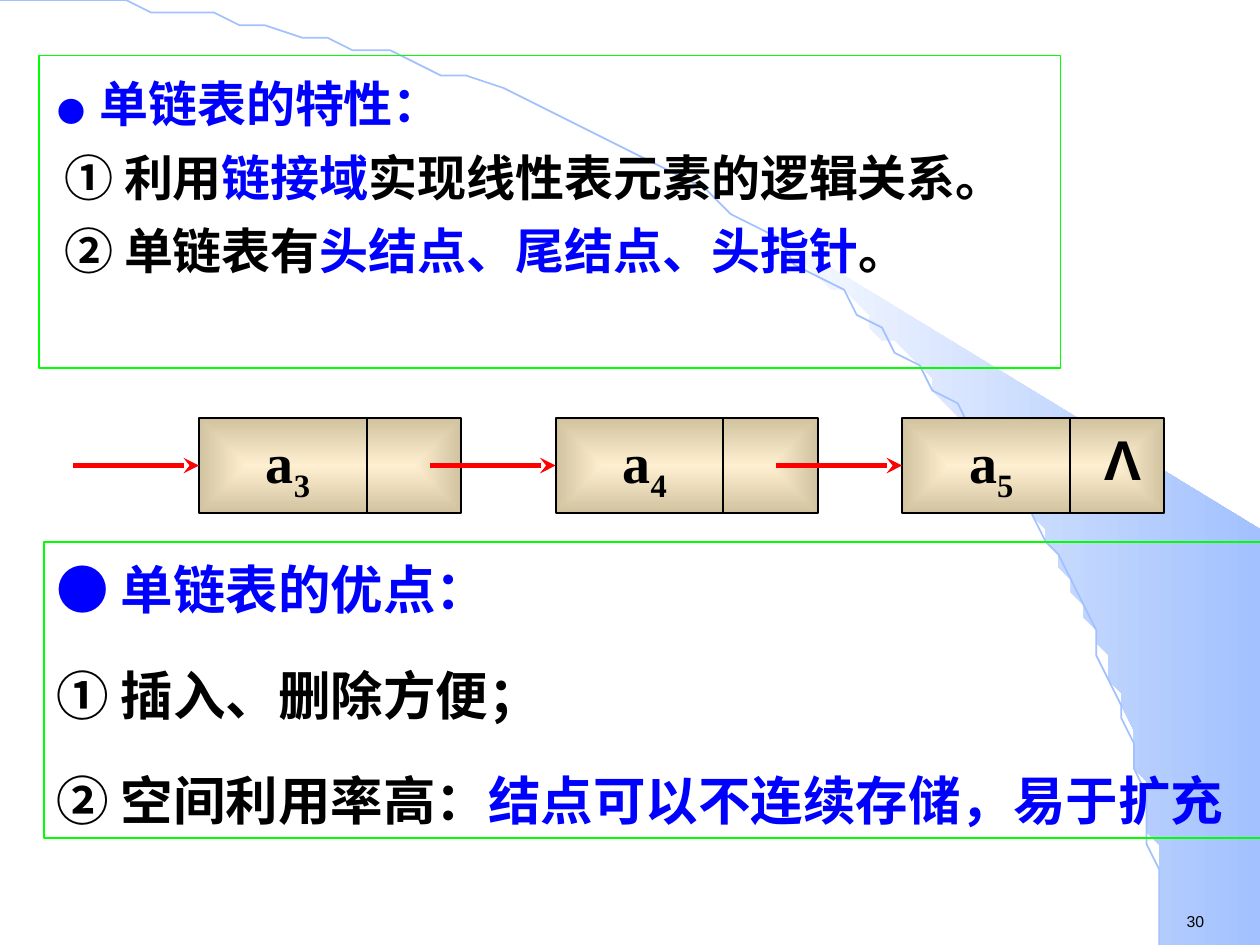
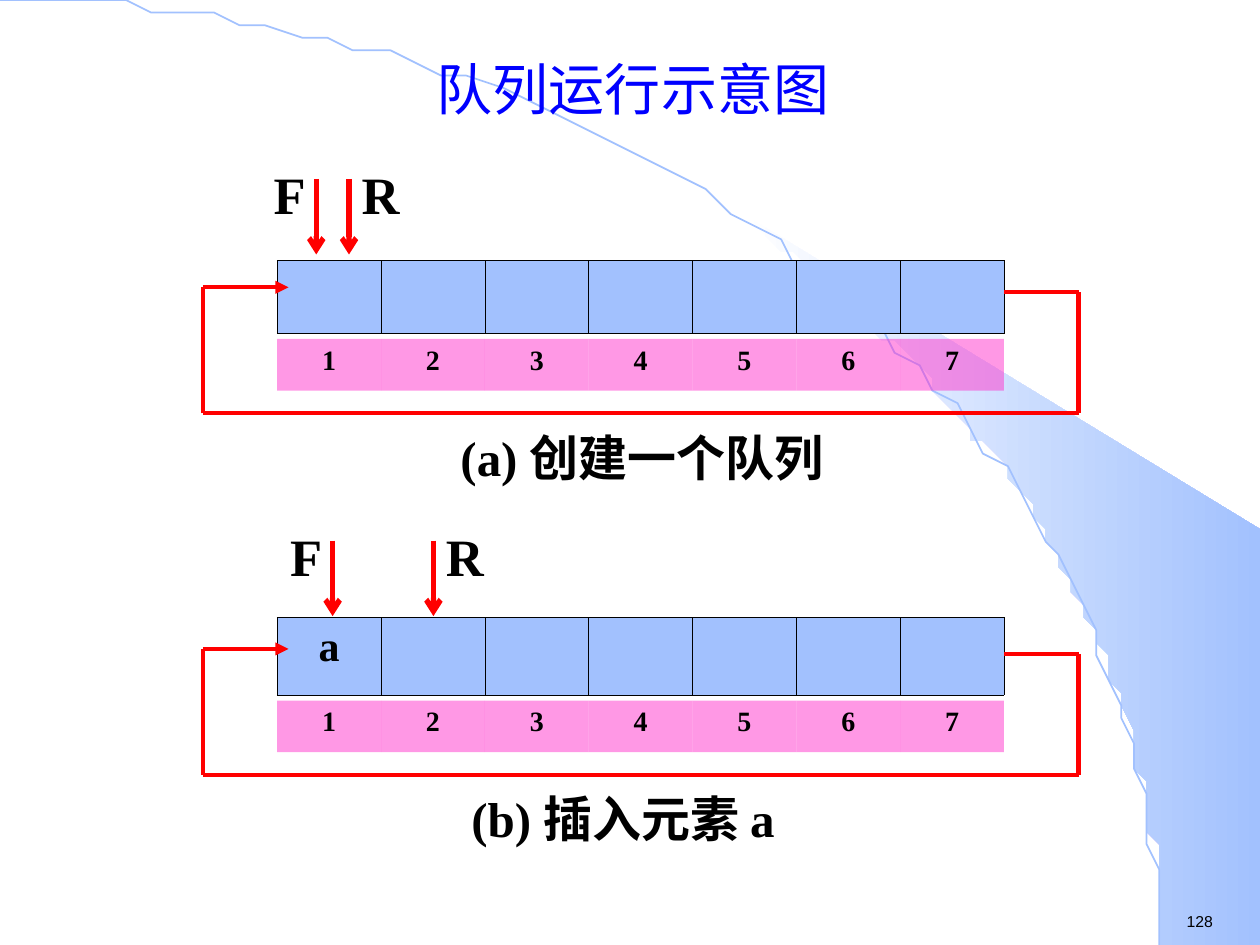
from math import asin, cos, pi, sin

from lxml import etree
from pptx import Presentation
from pptx.dml.color import RGBColor
from pptx.enum.shapes import MSO_CONNECTOR, MSO_SHAPE
from pptx.enum.text import PP_ALIGN
from pptx.oxml.ns import qn
from pptx.util import Inches, Pt

LINE = MSO_CONNECTOR.STRAIGHT
RECT = MSO_SHAPE.RECTANGLE
LEFT, MID = PP_ALIGN.LEFT, PP_ALIGN.CENTER

INK = {
    "black": "000000", "blue": "0000FF", "red": "FF0000", "green": "00FF00",
    "sky": "A2C1FE", "pink": "FF33CC", "white": "FFFFFF",
    "cream": "FFEFD1", "tan": "D1C39F",
}
ROMAN, SANS, HAN = "Times New Roman", "Arial", "Noto Sans CJK SC"

# The slide is a grid of 100 columns by 75 rows
COLS, ROWS = 100, 75
UNIT = Inches(0.1)


def grid(*sizes):
    return [round(size * UNIT) for size in sizes]


def rgb(name):
    return RGBColor.from_string(INK[name])


def add(parent, tag, **attrs):
    return etree.SubElement(parent, qn(tag), attrs)


# Text

def write(frame, paras, size, font=ROMAN, bold=True, align=LEFT, pad=(1, 0.5),
          gap=None, before=0):
    """Each paragraph is a list of (text, colour, run options)."""
    frame.word_wrap = True
    frame.margin_left = frame.margin_right = grid(pad[0])[0]
    frame.margin_top = frame.margin_bottom = grid(pad[1])[0]
    for i, runs in enumerate(paras):
        para = frame.add_paragraph() if i else frame.paragraphs[0]
        para.alignment = align
        if gap:
            para.line_spacing = gap
        if i and before:
            para.space_before = Pt(before)
        for text, ink, opts in runs:
            run = para.add_run()
            run.text = text
            run.font.size = Pt(opts.get("size", size))
            run.font.bold = bold
            run.font.color.rgb = rgb(ink)
            run.font.name = opts.get("font", font)
            props = run._r.get_or_add_rPr()
            add(props, "a:ea", typeface=HAN)
            if "base" in opts:
                props.set("baseline", str(opts["base"] * 1000))


def label(slide, box, runs, size, **style):
    shape = slide.shapes.add_textbox(*grid(*box))
    write(shape.text_frame, [runs], size, **style)


def hang(para, left, back):
    props = para._p.get_or_add_pPr()
    left, back = grid(left, back)
    props.set("marL", str(left))
    props.set("indent", str(-back))


# Shapes and lines

def frame(slide, box, ink, width):
    shape = slide.shapes.add_shape(RECT, *grid(*box))
    shape.shadow.inherit = False
    shape.fill.background()
    shape.line.color.rgb = rgb(ink)
    shape.line.width = Pt(width)
    return shape


def blend(shape, first, last):
    shape.fill.gradient()
    for stop, name in zip(shape.fill.gradient_stops, (first, last)):
        stop.color.rgb = rgb(name)


def stroke(slide, start, end, ink="red", width=3, head=None):
    line = slide.shapes.add_connector(LINE, *grid(*start, *end))
    line.line.color.rgb = rgb(ink)
    line.line.width = Pt(width)
    add(line._element.spPr, "a:effectLst")
    if head:
        add(line.line._get_or_add_ln(), "a:tailEnd", type=head)
    return line


def outline(slide, points, close):
    pen = slide.shapes.build_freeform(*points[0], scale=UNIT)
    pen.add_line_segments(points[1:], close=close)
    shape = pen.convert_to_shape()
    shape.shadow.inherit = False
    return shape


# Backdrop and page number

def arc(wide, high, start):
    steps = 60
    turns = [start + (pi / 2 - start) * i / steps for i in range(steps + 1)]
    return [(wide * sin(t), high * (1 - cos(t))) for t in turns]


def base(deck, page):
    slide = deck.slides.add_slide(deck.slide_layouts[6])
    slide.background.fill.solid()
    slide.background.fill.fore_color.rgb = rgb("white")
    wide, high, tip = 92, 74.9, 58.9
    edge = arc(wide, high, asin(tip / wide))
    wedge = outline(slide, edge + [(99.9, high), (99.9, 42.3)], True)
    blend(wedge, "white", "sky")
    wedge.fill.gradient_angle = 0
    wedge.line.fill.background()
    curve = outline(slide, arc(wide, high, 0), False)
    curve.fill.background()
    curve.line.color.rgb = rgb("sky")
    curve.line.width = Pt(1)
    label(slide, (93.2, 71.9, 6.8, 2.5), [(page, "black", {})], 9,
          font=SANS, bold=False)
    return slide


# Linked list slide

def traits(slide, box):
    text = frame(slide, box, "green", 0.75).text_frame
    write(text, [
        [("●\t", "blue", {"size": 16}), ("单链表的特性：", "blue", {})],
        [("① 利用", "black", {}), ("链接域", "blue", {}),
         ("实现线性表元素的逻辑关系。", "black", {})],
        [("② 单链表有", "black", {}),
         ("头结点、尾结点、头指针", "blue", {}), ("。", "black", {})],
    ], 28, gap=1.2, before=1.8)
    for para, (left, back) in zip(text.paragraphs,
                                  [(3.8, 3.3), (4.8, 3.8), (4.8, 3.8)]):
        hang(para, left, back)
    text.vertical_anchor = 1


def node(slide, box, index):
    x, y, w, h = box
    split = x + 0.64 * w
    shape = frame(slide, box, "black", 1)
    blend(shape, "cream", "tan")
    fill = shape._element.spPr.find(qn("a:gradFill"))
    fill.remove(fill.find(qn("a:lin")))
    way = add(fill, "a:path", path="rect")
    add(way, "a:fillToRect", l="50000", t="50000", r="50000", b="50000")
    stroke(slide, (split, y), (split, y + h), "black", 1)
    label(slide, (split - 12.5, y + 0.8, 12.5, 5.9),
          [("a", "black", {}), (index, "black", {"base": -25})], 32,
          align=MID, gap=0.8)
    return shape


def chain(slide, box):
    x, y, w, h = box
    lefts = [x, x + 28.3, x + 55.8]
    nodes = [node(slide, (left, y, 20.8, h), index)
             for left, index in zip(lefts, "345")]
    label(slide, (x + w - 8.3, y, 10, 6.4), [("Λ", "black", {})], 32,
          font=SANS, align=MID)
    for left, shape in zip(lefts, nodes):
        arrow = stroke(slide, (left - 10, y + h / 2), (left, y + h / 2),
                       head="stealth")
        arrow.end_connect(shape, 1)


def merits(slide, box):
    text = frame(slide, box, "green", 1).text_frame
    write(text, [
        [("● 单链表的优点：", "blue", {})],
        [("① 插入、删除方便；", "black", {})],
        [("② 空间利用率高：", "black", {}),
         ("结点可以不连续存储，易于扩充", "blue", {})],
    ], 30, font=HAN, gap=1.15, before=18.7)
    text.vertical_anchor = 1


# Queue slide

def strip(slide, box, words, size, ink, border=None, alpha=None):
    shape = slide.shapes.add_table(1, len(words), *grid(*box))
    table = shape.table
    table.first_row = table.horz_banding = False
    for cell, word in zip(table.rows[0].cells, words):
        if word:
            write(cell.text_frame, [[(word, "black", {})]], size, align=MID)
        props = cell._tc.get_or_add_tcPr()
        for side in ("a:lnL", "a:lnR", "a:lnT", "a:lnB"):
            edge = add(props, side, w=str(Pt(0.45)))
            if border:
                add(add(edge, "a:solidFill"), "a:srgbClr", val=INK[border])
            else:
                add(edge, "a:noFill")
        cell.fill.solid()
        cell.fill.fore_color.rgb = rgb(ink)
        if alpha:
            tint = props.find(qn("a:solidFill")).find(qn("a:srgbClr"))
            add(tint, "a:alpha", val=str(alpha * 1000))


def loop(slide, box):
    x, y, w, h = box
    out = 5.9
    points = [(x + w, y), (x + w + out, y), (x + w + out, y + h),
              (x - out, y + h), (x - out, y - 0.4), (x + 0.9, y - 0.4)]
    heads = [None] * 4 + ["triangle"]
    for start, end, head in zip(points, points[1:], heads):
        stroke(slide, start, end, width=2.5, head=head)


def queue(slide, box, top, words, pins, title, shift):
    x, y, w, h = box
    strip(slide, (x, y + top, w, 5.75 - top), words, 24, "sky", "black")
    strip(slide, (x, y + 6.2, w, 4.1), "1234567", 16, "pink", alpha=50)
    for name, pin, side in zip("FR", pins, (-4.3, 0.3)):
        spot = x + pin
        stroke(slide, (spot, y - 6.5), (spot, y - 0.5), head="arrow")
        label(slide, (spot + side, y - 7.4, 4.4, 4.8),
              [(name, "black", {})], 30, align=MID, pad=(0, 0), gap=Pt(33))
    loop(slide, (x, y + 2.5, w, h - 2.5))
    label(slide, (x + shift, y + h + 1.2, 32.7, 5.2), title, 28, align=MID,
          pad=(0, 0), gap=Pt(33))


def main():
    deck = Presentation()
    deck.slide_width, deck.slide_height = grid(COLS, ROWS)

    slide = base(deck, "30")
    traits(slide, (3.1, 4.4, 81.1, 24.8))
    chain(slide, (15.8, 33.2, 76.6, 7.5))
    merits(slide, (3.5, 43, 98, 23.5))

    slide = base(deck, "128")
    label(slide, (20.5, 2, 59.5, 8.8), [("队列运行示意图", "blue", {})], 32,
          font=HAN, bold=False, align=MID, pad=(0, 0), gap=Pt(55))
    queue(slide, (22, 20.7, 57.7, 12.1), 0, [""] * 7, (3.1, 5.7),
          [("(a) ", "black", {}), ("创建一个队列", "black", {"font": HAN})],
          12.6)
    queue(slide, (22, 49.4, 57.7, 12.1), -0.4, ["a"] + [""] * 6, (4.4, 12.4),
          [("(b) ", "black", {}), ("插入元素 ", "black", {"font": HAN}),
           ("a", "black", {})], 11.1)

    deck.save("out.pptx")


if __name__ == "__main__":
    main()
